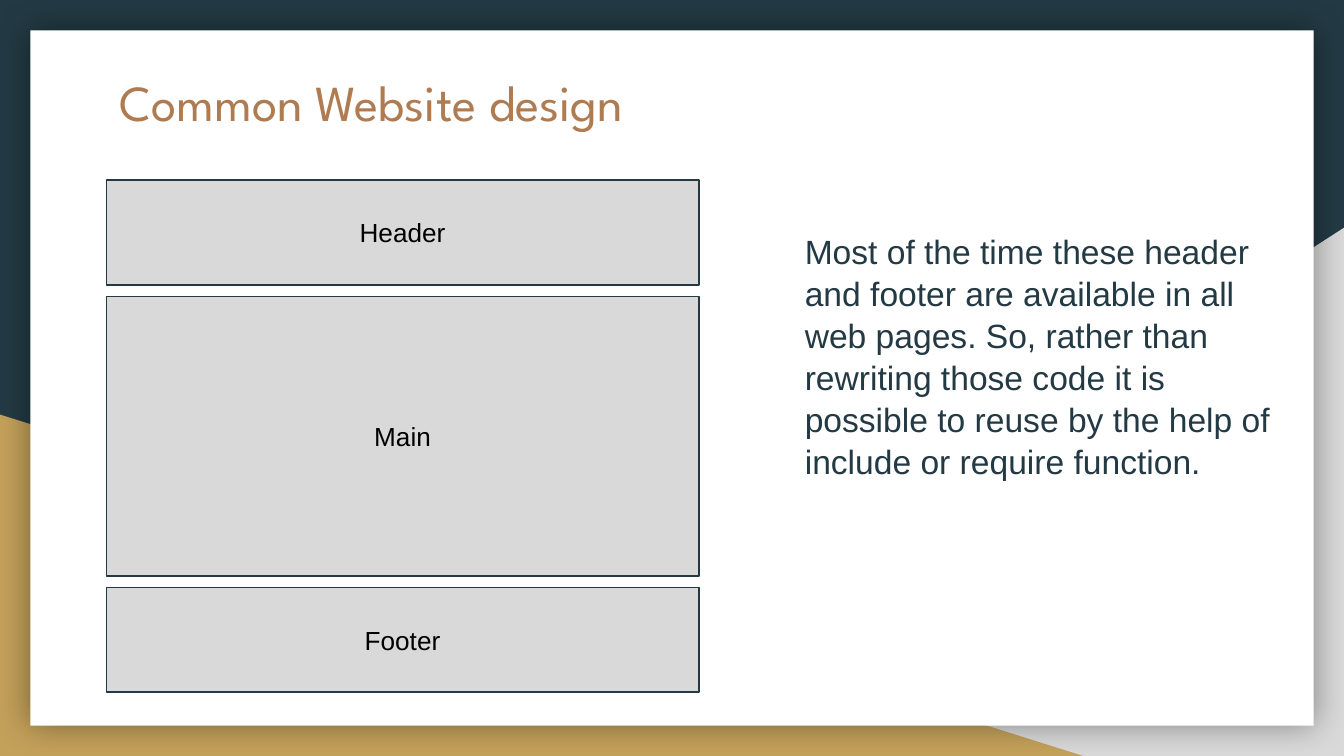
import pptx
import pptx.util
import pptx.dml.color
import pptx.enum.shapes
import pptx.enum.text
import pptx.oxml

W, H = 10, 5.625
NAVY, GOLD, GREY, BROWN = "233A44", "C4A15A", "D9D9D9", "AF7B51"
SHAPE = pptx.enum.shapes.MSO_SHAPE
ANCHOR = pptx.enum.text.MSO_ANCHOR
ALIGN = pptx.enum.text.PP_ALIGN

SHADOW = (
    '<a:effectLst xmlns:a="http://schemas.openxmlformats.org/drawingml/2006/main">'
    '<a:outerShdw blurRad="228600" dist="0" dir="0" algn="ctr" rotWithShape="0">'
    '<a:srgbClr val="000000"><a:alpha val="40000"/></a:srgbClr>'
    '</a:outerShdw></a:effectLst>')


def rgb(value):
    return pptx.dml.color.RGBColor.from_string(value)


def inches(*lengths):
    return [pptx.util.Inches(n) for n in lengths]


def set_text(sp, text, size, color, font="Arial", align=ALIGN.LEFT,
             anchor=ANCHOR.TOP, spacing=None):
    tf = sp.text_frame
    tf.word_wrap = True
    tf.vertical_anchor = anchor
    tf.margin_left = tf.margin_right = pptx.util.Inches(0.1)
    tf.margin_top = tf.margin_bottom = pptx.util.Inches(0.1)
    p = tf.paragraphs[0]
    p.alignment = align
    p.line_spacing = spacing
    r = p.add_run()
    r.text = text
    r.font.size = pptx.util.Pt(size)
    r.font.name = font
    r.font.color.rgb = rgb(color)


def add_shape(s, kind, box, fill, line=None):
    sp = s.shapes.add_shape(kind, *inches(*box))
    sp.shadow.inherit = False
    sp.fill.solid()
    sp.fill.fore_color.rgb = rgb(fill)
    if line:
        sp.line.color.rgb = rgb(line)
        sp.line.width = pptx.util.Pt(0.75)
    else:
        sp.line.fill.background()
    return sp


def add_text(s, box, text, **fmt):
    sp = s.shapes.add_textbox(*inches(*box))
    set_text(sp, text, **fmt)
    return sp


def add_corner(s, width, height, fill, right=False):
    """Right triangle in a bottom corner of the slide."""
    left = W - width if right else 0
    sp = add_shape(s, SHAPE.RIGHT_TRIANGLE, (left, H - height, width, height), fill)
    if right:
        sp.element.spPr.get_or_add_xfrm().set("flipH", "1")


def add_card(s):
    """White panel with a soft shadow, inset evenly from the slide edges."""
    inset = 0.225
    sp = add_shape(s, SHAPE.RECTANGLE,
                   (inset, inset, W - 2 * inset, H - 2 * inset), "FFFFFF")
    spPr = sp.element.spPr
    spPr.replace(spPr.find(pptx.oxml.ns.qn("a:effectLst")),
                 pptx.oxml.parse_xml(SHADOW))


def add_page_layout(s, left, top, width, gap, sections):
    """Stack the labelled page sections with equal gaps."""
    for label, height in sections:
        sp = add_shape(s, SHAPE.RECTANGLE, (left, top, width, height), GREY, NAVY)
        set_text(sp, label, size=14, color="000000",
                 align=ALIGN.CENTER, anchor=ANCHOR.MIDDLE)
        top += height + gap


def main():
    prs = pptx.Presentation()
    prs.slide_width, prs.slide_height = inches(W, H)
    s = prs.slides.add_slide(prs.slide_layouts[6])
    s.background.fill.solid()
    s.background.fill.fore_color.rgb = rgb(NAVY)

    add_corner(s, 6.08, 3.93, GREY, right=True)
    add_corner(s, 8.06, 2.54, GOLD)
    add_card(s)

    add_text(s, (0.79, 0.43, 8.21, 0.51), "Common Website design",
             size=27, color=BROWN, font="League Spartan")
    add_page_layout(s, 0.79, 1.34, 4.41, 0.085,
                    [("Header", 0.78), ("Main", 2.08), ("Footer", 0.78)])
    add_text(s, (5.89, 1.61, 3.77, 2.02),
             "Most of the time these header and footer are available in all "
             "web pages. So, rather than rewriting those code it is possible "
             "to reuse by the help of include or require function.",
             size=18, color=NAVY, spacing=1.04)

    prs.save("out.pptx")


if __name__ == "__main__":
    main()
